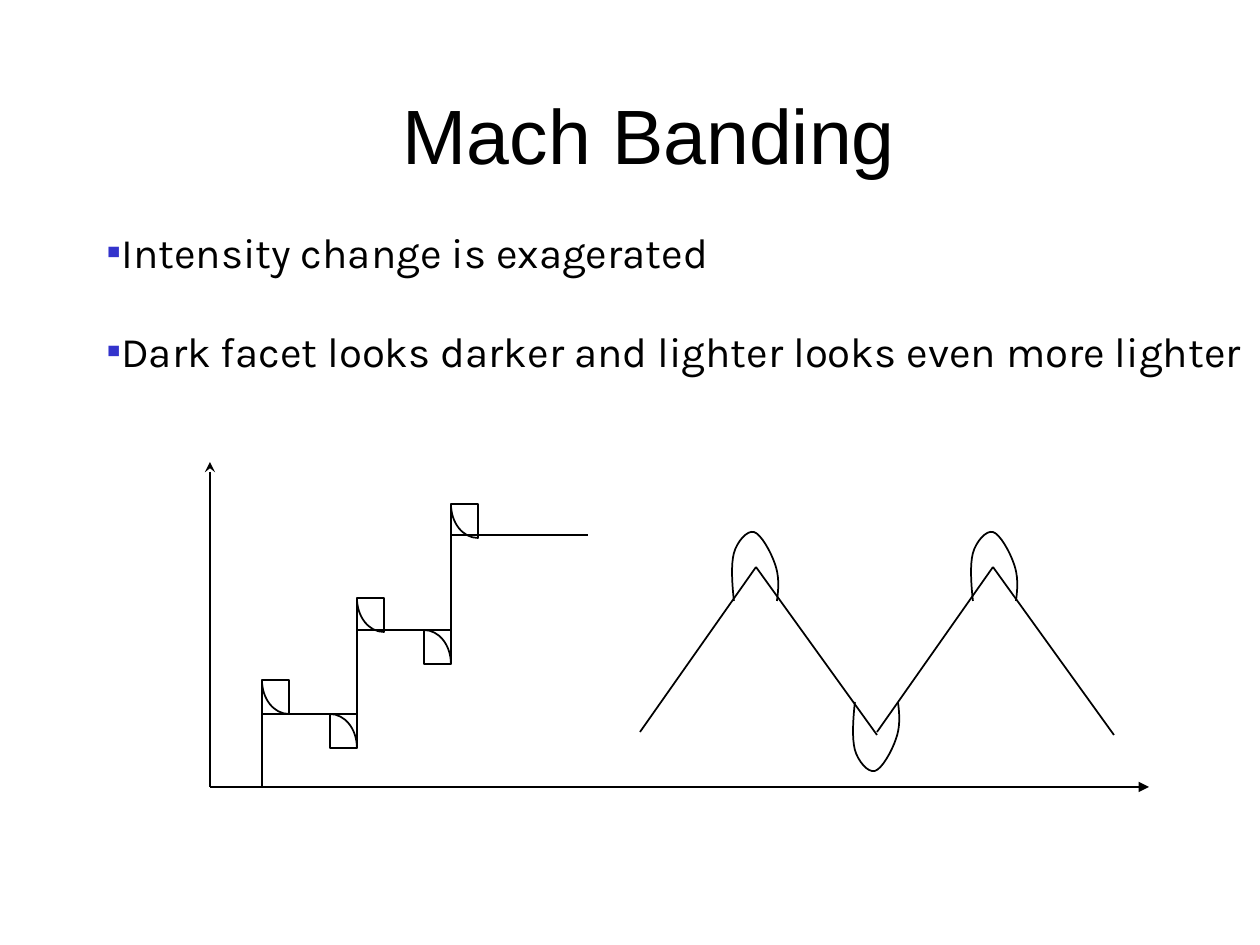
from lxml.etree import SubElement
from pptx import Presentation
from pptx.dml.color import RGBColor
from pptx.enum.shapes import MSO_CONNECTOR as Connector
from pptx.enum.text import MSO_ANCHOR as Anchor, PP_ALIGN as Align
from pptx.oxml.ns import qn
from pptx.util import Emu, Pt

PX_PER_INCH = 126
SCALE = 914400 / PX_PER_INCH
COLORS = {"ink": "000000", "bullet": "3333CC", "paper": "FFFFFF"}


def px(length):
    return Emu(round(length * SCALE))


def color(name):
    return RGBColor.from_string(COLORS[name])


class Sketch:
    def __init__(self, slide, ink="ink", weight=1):
        self.slide, self.ink, self.weight = slide, ink, weight
        slide.background.fill.solid()
        slide.background.fill.fore_color.rgb = color("paper")

    def stroke(self, shape):
        shape.line.color.rgb = color(self.ink)
        shape.line.width = Pt(self.weight)

    def line(self, start, end, arrow=None):
        """arrow is an (end tag, type) pair such as ("a:tailEnd", "triangle")."""
        line = self.slide.shapes.add_connector(
            Connector.STRAIGHT, *map(px, (*start, *end)))
        self.stroke(line)
        if arrow:
            tag, kind = arrow
            SubElement(line.line._get_or_add_ln(), qn(tag), type=kind)
        SubElement(line._element.spPr, qn("a:effectLst"))

    def outline(self, points, curves, close=False):
        """The first three points per curve after the start form cubic Beziers."""
        builder = self.slide.shapes.build_freeform(*points[0], scale=SCALE)
        builder.add_line_segments(points[1:], close=close)
        shape = builder.convert_to_shape()
        shape.shadow.inherit = False
        shape.fill.background()
        self.stroke(shape)
        segments = list(shape._element.iter(qn("a:lnTo")))
        for first in range(0, curves * 3, 3):
            bezier, *others = segments[first:first + 3]
            bezier.tag = qn("a:cubicBezTo")
            for other in others:
                bezier.append(other[0])
                other.getparent().remove(other)

    def sector(self, edge, level, out, height=34, width=27):
        """Quarter curve closed by a corner; out is 1 right of the edge, -1 left."""
        far = edge + out * width
        tip = level - out * height
        base = tip + out * 34
        self.outline([(far, base), (far - out * 15, base), (edge, tip + out * 19),
                      (edge, tip), (far, tip)], curves=1, close=True)
        self.line((edge, tip), (edge, base))

    def text(self, left, top, width, height, lines, size, font,
             align=Align.LEFT, anchor=Anchor.TOP, bullet=None, gap=0):
        box = self.slide.shapes.add_textbox(*map(px, (left, top, width, height)))
        frame = box.text_frame
        frame.word_wrap = True
        frame.vertical_anchor = anchor
        for number, words in enumerate(lines):
            para = frame.add_paragraph() if number else frame.paragraphs[0]
            para.alignment = align
            para.line_spacing = 1.2
            if number:
                para.space_before = Pt(gap)
            if bullet:
                props = para._p.get_or_add_pPr()
                props.set("marL", "0")
                props.set("indent", str(-px(21)))
                tint = SubElement(props, qn("a:buClr"))
                SubElement(tint, qn("a:srgbClr"), val=COLORS["bullet"])
                SubElement(props, qn("a:buFont"), typeface="Arial")
                SubElement(props, qn("a:buChar"), char=bullet)
            span = para.add_run()
            span.text = words
            span.font.size = Pt(size)
            span.font.name = font
            span.font.color.rgb = color(self.ink)


def main():
    deck = Presentation()
    deck.slide_width, deck.slide_height = px(1260), px(945)
    page = Sketch(deck.slides.add_slide(deck.slide_layouts[6]))

    # Axes
    origin = (210, 787)
    page.line((210, 462), origin, ("a:headEnd", "stealth"))
    page.line(origin, (1149, 787), ("a:tailEnd", "triangle"))

    # Staircase of intensity levels
    edges, levels = [262, 357, 451, 588], [787, 714, 630, 535]
    for i, edge in enumerate(edges[:-1]):
        level = levels[i + 1]
        page.line((edge, levels[i]), (edge, level))
        page.line((edge, level), (edges[i + 1], level))

    # Overshoot after each step, undershoot before the next
    for edge, level, height in zip(edges, levels[1:], (34, 32, 31)):
        page.sector(edge, level, 1, height)
    for edge, level in zip(edges[1:3], levels[1:]):
        page.sector(edge, level, -1)

    # Zigzag of intensity ramps
    for shift in (0, 237):
        peak = (756 + shift, 567)
        page.line((640 + shift, 732), peak)
        page.line(peak, (877 + shift, 735))

    # Bulges over the two peaks and, upside down, under the valley
    bulge = [(734, 601), (732, 583), (731, 564), (734, 553), (737, 542),
             (747, 530), (754, 532), (761, 534), (771, 552), (775, 564),
             (779, 575), (779, 587), (777, 601)]
    for shift in (0, 239):
        page.outline([(x + shift, y) for x, y in bulge], curves=4)
    page.outline([(x + 121, 1303 - y) for x, y in bulge], curves=4)

    # Title and bullets
    page.text(116, 63, 1066, 123, ["Mach Banding"], 44, "Arial",
              align=Align.CENTER, anchor=Anchor.BOTTOM)
    page.text(94, 210, 1205, 280,
              ["Intensity change is exagerated",
               "Dark facet looks darker and lighter looks even more lighter"],
              24, "Karla", bullet="▪", gap=22)

    deck.save("out.pptx")


if __name__ == "__main__":
    main()
